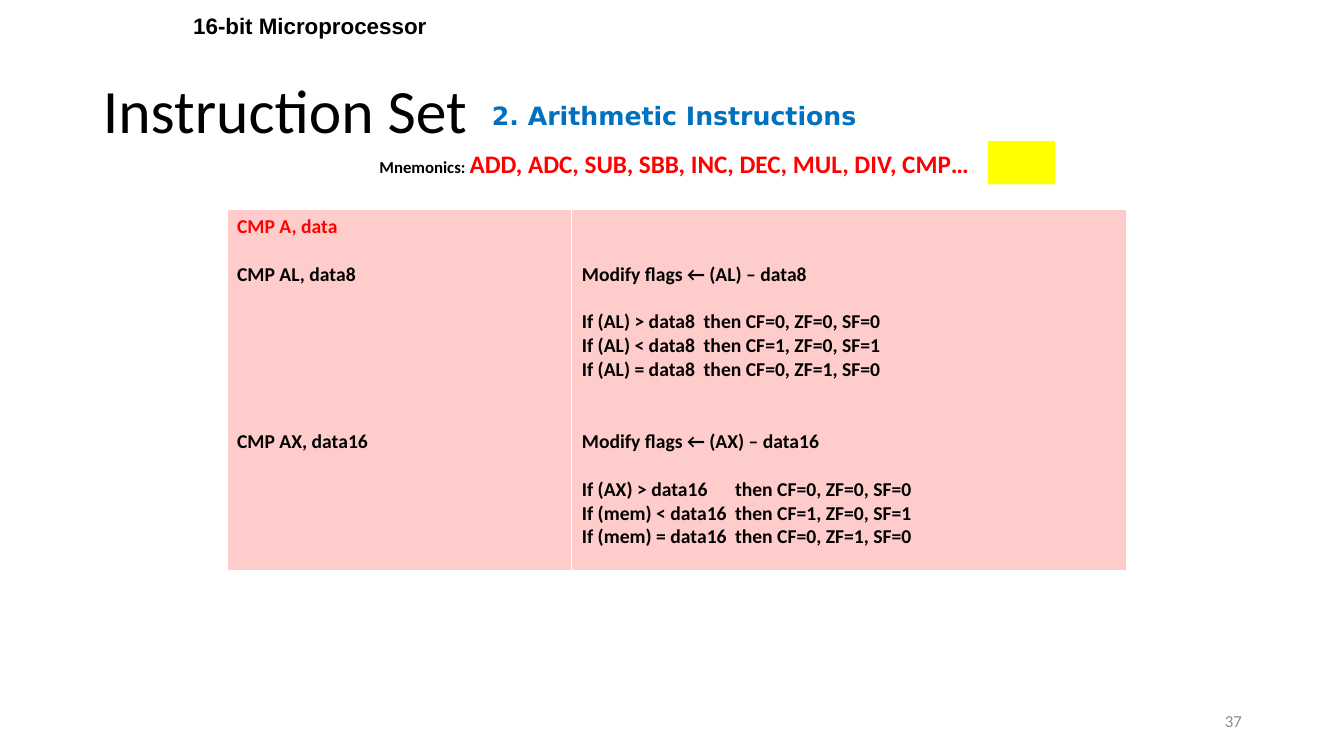
import dataclasses
import typing

import lxml.etree
import pptx
import pptx.dml.color
import pptx.enum.shapes
import pptx.enum.text
import pptx.oxml.ns
import pptx.util

Cm = pptx.util.Cm
Align = pptx.enum.text.PP_ALIGN
Anchor = pptx.enum.text.MSO_ANCHOR
AutoSize = pptx.enum.text.MSO_AUTO_SIZE
qn = pptx.oxml.ns.qn


@dataclasses.dataclass(frozen=True)
class Theme:
    black: str = "000000"
    red: str = "FF0000"
    blue: str = "0070C0"
    grey: str = "8C8C8C"
    yellow: str = "FFFF00"
    pink: str = "FFCCCC"
    white: str = "FFFFFF"
    body_font: str = "Calibri"
    header_font: str = "Arial"
    topic_font: str = "DejaVu Sans"
    title_size: int = 44
    topic_size: int = 18
    header_size: int = 16
    table_size: int = 14
    small_size: int = 12
    table_line: float = 17.1


THEME = Theme()


class Piece(typing.NamedTuple):
    text: str
    size: int
    color: str = THEME.black
    font: str = THEME.body_font
    bold: bool = True


class Box(typing.NamedTuple):
    left: float
    top: float
    width: float
    height: float


class Label(typing.NamedTuple):
    box: Box
    pieces: list[Piece]
    align: Align = Align.CENTER
    anchor: Anchor = Anchor.TOP
    auto_size: AutoSize = AutoSize.SHAPE_TO_FIT_TEXT


class Line(typing.NamedTuple):
    """A table line; gap counts the empty lines above it, tab is in cm."""
    text: str
    gap: int = 0
    color: str = THEME.black
    tab: float = 0


class Case(typing.NamedTuple):
    """One comparison: its operation, and the left operand for >, < and =."""
    register: str
    data: str
    operands: tuple[str, str, str]
    tab: float


CASES = [
    Case("AL", "data8", ("AL", "AL", "AL"), 3.07),
    Case("AX", "data16", ("AX", "mem", "mem"), 3.86),
]
FLAGS = [(">", "CF=0, ZF=0, SF=0"), ("<", "CF=1, ZF=0, SF=1"), ("=", "CF=0, ZF=1, SF=0")]

LABELS = [
    Label(Box(4.98, 2.36, 24.03, 1.09),
          [Piece("2. Arithmetic Instructions", THEME.topic_size, THEME.blue, THEME.topic_font)],
          anchor=Anchor.MIDDLE, auto_size=AutoSize.NONE),
    Label(Box(23.93, 17.65, 7.62, 1.02),
          [Piece("37", THEME.small_size, THEME.grey, bold=False)],
          Align.RIGHT, Anchor.MIDDLE, AutoSize.NONE),
    Label(Box(4.42, 0.18, 6.78, 0.94),
          [Piece("16-bit Microprocessor", THEME.header_size, font=THEME.header_font)]),
    Label(Box(4.98, 3.61, 24.03, 1.02),
          [Piece("Mnemonics: ", THEME.small_size),
           Piece("ADD, ADC, SUB, SBB, INC, DEC, MUL, DIV, CMP…", THEME.topic_size, THEME.red)]),
]


def rgb(color: str) -> pptx.dml.color.RGBColor:
    return pptx.dml.color.RGBColor.from_string(color)


def place(box: Box) -> tuple[int, int, int, int]:
    return Cm(box.left), Cm(box.top), Cm(box.width), Cm(box.height)


def add_piece(paragraph, piece: Piece) -> None:
    run = paragraph.add_run()
    run.text = piece.text
    run.font.name = piece.font
    run.font.size = pptx.util.Pt(piece.size)
    run.font.bold = piece.bold
    run.font.color.rgb = rgb(piece.color)


def add_label(slide, label: Label) -> None:
    frame = slide.shapes.add_textbox(*place(label.box)).text_frame
    frame.word_wrap = True
    frame.auto_size = label.auto_size
    frame.vertical_anchor = label.anchor
    paragraph = frame.paragraphs[0]
    paragraph.alignment = label.align
    for piece in label.pieces:
        add_piece(paragraph, piece)


def set_title(slide, box: Box, text: str) -> None:
    title = slide.shapes.title
    title.left, title.top, title.width, title.height = place(box)
    title.text_frame.auto_size = AutoSize.NONE
    title.text_frame.vertical_anchor = Anchor.MIDDLE
    paragraph = title.text_frame.paragraphs[0]
    paragraph.alignment = Align.LEFT
    paragraph.line_spacing = 0.9
    add_piece(paragraph, Piece(text, THEME.title_size, bold=False))


def add_highlight(slide, box: Box) -> None:
    highlight = slide.shapes.add_shape(pptx.enum.shapes.MSO_SHAPE.RECTANGLE, *place(box))
    highlight.shadow.inherit = False
    highlight.fill.solid()
    highlight.fill.fore_color.rgb = rgb(THEME.yellow)
    highlight.line.fill.background()


def add_borders(cell) -> None:
    properties = cell._tc.get_or_add_tcPr()
    for index, (side, points) in enumerate([("lnL", 1), ("lnR", 1), ("lnT", 1), ("lnB", 3)]):
        border = lxml.etree.Element(qn(f"a:{side}"), w=str(pptx.util.Pt(points)))
        fill = lxml.etree.SubElement(border, qn("a:solidFill"))
        lxml.etree.SubElement(fill, qn("a:srgbClr"), val=THEME.white)
        properties.insert(index, border)


def add_tab(paragraph, position: float) -> None:
    tabs = lxml.etree.SubElement(paragraph._p.get_or_add_pPr(), qn("a:tabLst"))
    lxml.etree.SubElement(tabs, qn("a:tab"), pos=str(Cm(position)), algn="l")


def fill_cell(cell, lines: list[Line]) -> None:
    """Write the lines; the first line's gap becomes the top margin."""
    cell.fill.solid()
    cell.fill.fore_color.rgb = rgb(THEME.pink)
    add_borders(cell)
    for index, line in enumerate(lines):
        gap = pptx.util.Pt(line.gap * THEME.table_line)
        if index == 0:
            paragraph = cell.text_frame.paragraphs[0]
            cell.margin_top = Cm(0.13) + gap
        else:
            paragraph = cell.text_frame.add_paragraph()
            paragraph.space_before = gap
        if line.tab:
            add_tab(paragraph, line.tab)
        add_piece(paragraph, Piece(line.text, THEME.table_size, line.color))


def add_compare_table(slide, box: Box, widths: tuple[float, float]) -> None:
    table = slide.shapes.add_table(1, 2, *place(box)).table
    table.first_row = table.horz_banding = False
    for column, width in zip(table.columns, widths):
        column.width = Cm(width)
    instructions = [Line("CMP A, data", color=THEME.red)]
    effects = []
    for case, instruction_gap in zip(CASES, (1, 6)):
        instructions.append(Line(f"CMP {case.register}, {case.data}", instruction_gap))
        effects.append(Line(f"Modify flags ← ({case.register}) – {case.data}", 2))
        for index, (operand, (sign, flags)) in enumerate(zip(case.operands, FLAGS)):
            effects.append(Line(f"If ({operand}) {sign} {case.data}\tthen {flags}",
                                int(index == 0), tab=case.tab))
    fill_cell(table.cell(0, 0), instructions)
    fill_cell(table.cell(0, 1), effects)


def main() -> None:
    deck = pptx.Presentation()
    deck.slide_width, deck.slide_height = Cm(33.87), Cm(19.05)
    slide = deck.slides.add_slide(deck.slide_layouts[5])
    add_highlight(slide, Box(24.89, 3.56, 1.7, 1.09))
    set_title(slide, Box(2.34, 1.02, 29.21, 3.68), "Instruction Set")
    for label in LABELS:
        add_label(slide, label)
    add_compare_table(slide, Box(5.72, 5.28, 22.66, 9.14), (8.69, 13.97))
    deck.save("out.pptx")


if __name__ == "__main__":
    main()
